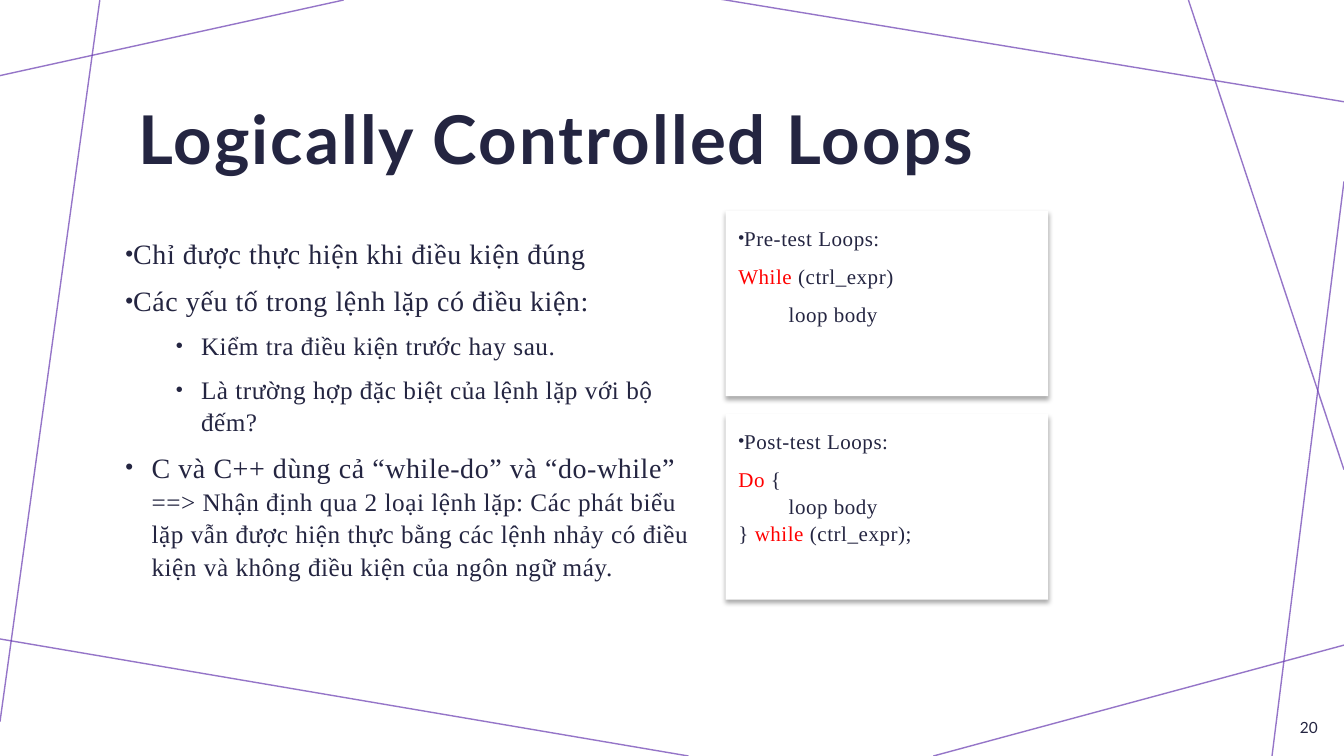
from lxml.etree import SubElement
from pptx import Presentation
from pptx.dml.color import RGBColor
from pptx.enum.shapes import MSO_CONNECTOR, MSO_SHAPE
from pptx.enum.text import MSO_ANCHOR, MSO_AUTO_SIZE, PP_ALIGN
from pptx.oxml.ns import qn
from pptx.util import Pt

WIDE, HIGH = 960, 540
INK, RED, WHITE, PURPLE = "242541", "FF0000", "FFFFFF", "693BB1"
SERIF, SANS = "Times New Roman", "Lato"

# Decor lines: start x, start y, end x, end y
LINES = [
    (245.5, 0, 0, 54),
    (71.3, 0, 0, 515.5),
    (491.8, HIGH, -3.6, 455.8),
    (WIDE, 460.8, 666.7, HIGH),
    (WIDE, 129.6, 908.6, HIGH),
    (WIDE, 335.5, 848.9, 0),
    (WIDE, 72.7, 514.1, -0.7),
]

# Body list: level, left margin, indent, runs of (text, size)
POINTS = [
    (0, 0, -18, [("Chỉ được thực hiện khi điều kiện đúng", 20)]),
    (0, 0, -18, [("Các yếu tố trong lệnh lặp có điều kiện:", 20)]),
    (1, 54, -18, [("Kiểm tra điều kiện trước hay sau.", 18)]),
    (1, 54, -18, [("Là trường hợp đặc biệt của lệnh lặp với bộ đếm?", 18)]),
    (1, 18.7, -18.7, [
        ("C và C++ dùng cả “while-do” và “do-while” ", 20),
        ("==> Nhận định qua 2 loại lệnh lặp: Các phát biểu lặp vẫn được "
         "hiện thực bằng các lệnh nhảy có điều kiện và không điều kiện "
         "của ngôn ngữ máy.", 18),
    ]),
]

# Loop cards: top, heading, space after code lines, code lines of (text, colour)
CARDS = [
    (150.5, "Pre-test Loops:", 8, [
        [("While", RED), (" (ctrl_expr)", INK)],
        [("\tloop body", INK)],
    ]),
    (295.9, "Post-test Loops:", 0, [
        [("Do", RED), (" {", INK)],
        [("\tloop body", INK)],
        [("} ", INK), ("while", RED), (" (ctrl_expr);", INK)],
    ]),
]


def color(code):
    return RGBColor.from_string(code)


def place(shape, left, top, width, height):
    shape.left, shape.top = Pt(left), Pt(top)
    shape.width, shape.height = Pt(width), Pt(height)


def set_frame(frame, anchor):
    frame.word_wrap = True
    frame.auto_size = MSO_AUTO_SIZE.NONE
    frame.vertical_anchor = anchor
    frame.margin_left = frame.margin_top = frame.margin_right = Pt(9)
    frame.margin_bottom = Pt(7.2)


def style(run, size, face=SERIF, code=INK, track=0.4, bold=False):
    font = run.font
    font.size, font.name, font.bold = Pt(size), face, bold
    font.color.rgb = color(code)
    font._element.set("spc", str(round(track * 100)))


def set_para(para, after, lines=1.07, align=PP_ALIGN.LEFT):
    para.alignment = align
    para.line_spacing = lines
    para.space_before, para.space_after = Pt(0), Pt(after)


def add_para(frame, first):
    return frame.paragraphs[0] if first else frame.add_paragraph()


def add_run(para, text, size, code=INK):
    run = para.add_run()
    run.text = text
    style(run, size, code=code)


def bullet(para, left, indent):
    props = para._p.get_or_add_pPr()
    props.set("marL", str(Pt(left)))
    props.set("indent", str(Pt(indent)))
    SubElement(props, qn("a:buSzPct"), val="80000")
    SubElement(props, qn("a:buFont"), typeface="Arial")
    SubElement(props, qn("a:buChar"), char="•")


def add_line(slide, x1, y1, x2, y2):
    line = slide.shapes.add_connector(
        MSO_CONNECTOR.STRAIGHT, Pt(x1), Pt(y1), Pt(x2), Pt(y2))
    line.line.width = Pt(1)
    line.line.color.rgb = color(PURPLE)
    props = line._element.spPr
    tint = props.find(".//" + qn("a:srgbClr"))
    SubElement(tint, qn("a:alpha"), val="70000")
    SubElement(props, qn("a:effectLst"))


def add_title(slide, text):
    title = slide.shapes.title
    place(title, 90, 41.8, 780, 108.7)
    frame = title.text_frame
    frame.text = text
    set_frame(frame, MSO_ANCHOR.MIDDLE)
    para = frame.paragraphs[0]
    set_para(para, 0, 1.05)
    style(para.runs[0], 48, SANS, track=1.5, bold=True)


def add_list(slide, points):
    body = slide.placeholders[1]
    place(body, 80.6, 158.4, 429.8, 301)
    frame = body.text_frame
    set_frame(frame, MSO_ANCHOR.TOP)
    for num, (level, left, indent, runs) in enumerate(points):
        para = add_para(frame, num == 0)
        para.level = level
        set_para(para, 8)
        bullet(para, left, indent)
        for text, size in runs:
            add_run(para, text, size)


def cast_shadow(shape):
    shape.shadow.inherit = False
    effects = shape._element.spPr.find(qn("a:effectLst"))
    outer = SubElement(effects, qn("a:outerShdw"), blurRad=str(Pt(3.5)),
                       dist=str(Pt(2.2)), dir="5400000", algn="t", rotWithShape="0")
    tint = SubElement(outer, qn("a:srgbClr"), val="000000")
    SubElement(tint, qn("a:alpha"), val="32000")


def add_card(slide, top, head, after, code):
    card = slide.shapes.add_shape(
        MSO_SHAPE.RECTANGLE, Pt(518.4), Pt(top), Pt(230.4), Pt(132.5))
    card.fill.solid()
    card.fill.fore_color.rgb = color(WHITE)
    card.line.fill.background()
    cast_shadow(card)
    frame = card.text_frame
    set_frame(frame, MSO_ANCHOR.TOP)
    para = add_para(frame, True)
    set_para(para, 8)
    bullet(para, 0, -18)
    add_run(para, head, 15)
    for runs in code:
        para = add_para(frame, False)
        set_para(para, after)
        for text, shade in runs:
            add_run(para, text, 15, shade)


def add_number(slide, text):
    box = slide.shapes.add_textbox(Pt(913.7), Pt(504), Pt(36.7), Pt(28.8))
    frame = box.text_frame
    frame.text = text
    set_frame(frame, MSO_ANCHOR.MIDDLE)
    para = frame.paragraphs[0]
    set_para(para, 0, 1.0, PP_ALIGN.RIGHT)
    style(para.runs[0], 11, SANS, track=0)


def main():
    deck = Presentation()
    deck.slide_width, deck.slide_height = Pt(WIDE), Pt(HIGH)
    slide = deck.slides.add_slide(deck.slide_layouts[1])
    slide.background.fill.solid()
    slide.background.fill.fore_color.rgb = color(WHITE)

    # Decor
    for ends in LINES:
        add_line(slide, *ends)

    # Text
    add_title(slide, "Logically Controlled Loops")
    add_list(slide, POINTS)

    # Loop cards and page number
    for card in CARDS:
        add_card(slide, *card)
    add_number(slide, "20")

    deck.save("out.pptx")


if __name__ == "__main__":
    main()
